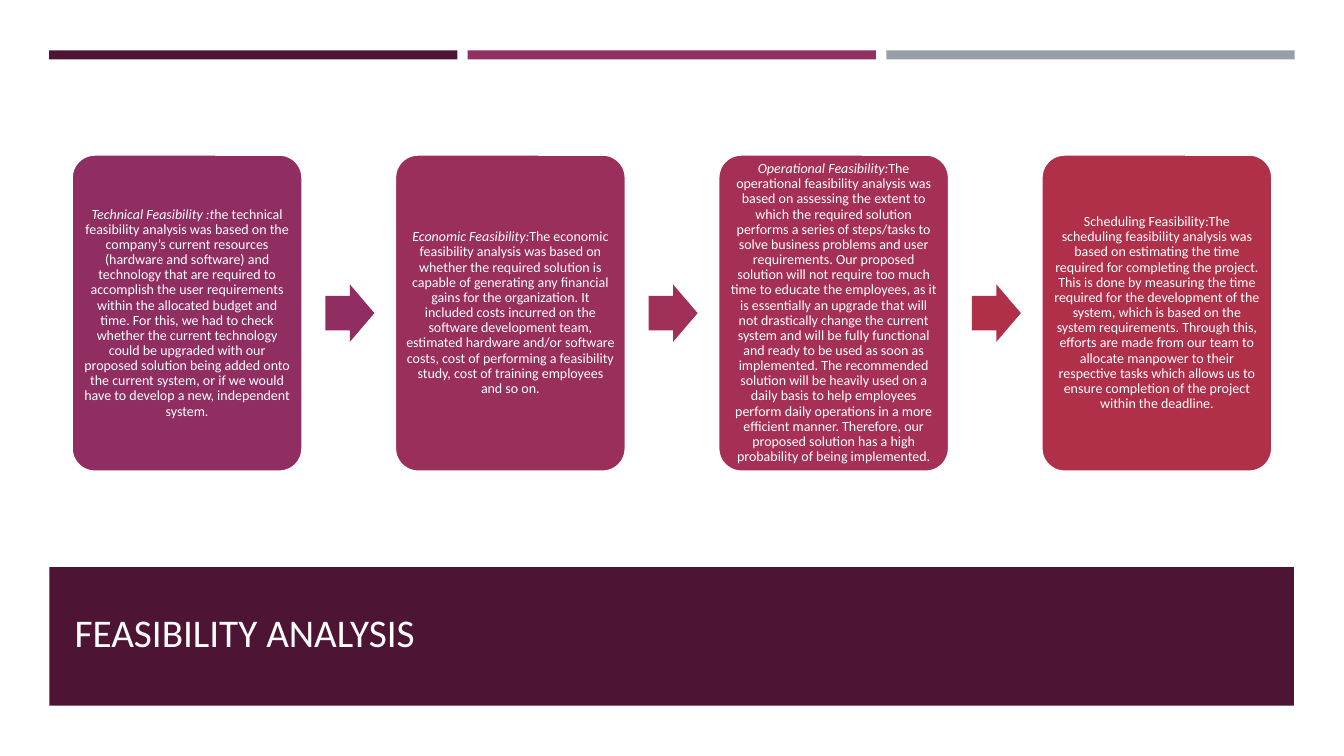
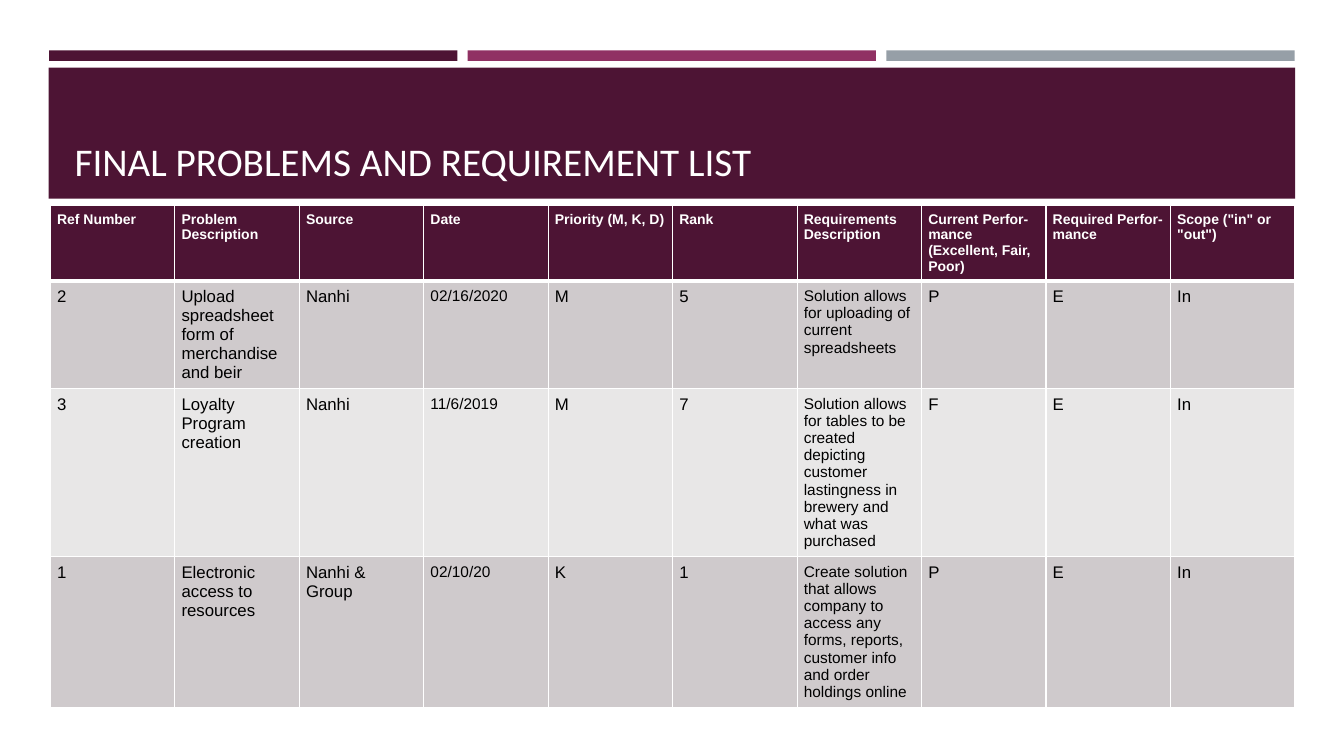
from lxml.etree import SubElement
from pptx import Presentation
from pptx.dml.color import RGBColor
from pptx.enum.shapes import MSO_SHAPE
from pptx.enum.text import MSO_ANCHOR, MSO_AUTO_SIZE, PP_ALIGN
from pptx.oxml.ns import qn
from pptx.util import Pt

# Shared colours
PLUM = RGBColor(0x4D, 0x14, 0x34)
BERRY = RGBColor(0x90, 0x31, 0x63)
STEEL = RGBColor(0x96, 0x9F, 0xA7)
WHITE = RGBColor(0xFF, 0xFF, 0xFF)
BLACK = RGBColor(0, 0, 0)
DARK = RGBColor(0xCF, 0xCA, 0xCC)
LIGHT = RGBColor(0xE8, 0xE7, 0xE7)

# Steps: italic lead, body, box colour, colour of the arrow that follows
STEPS = [
    ("Technical Feasibility :t",
     "he technical feasibility analysis was based on the company’s current "
     "resources (hardware and software) and technology that are required to "
     "accomplish the user requirements within the allocated budget and time. "
     "For this, we had to check whether the current technology could be "
     "upgraded with our proposed solution being added onto the current "
     "system, or if we would have to develop a new, independent system.",
     RGBColor(0x90, 0x2E, 0x62), RGBColor(0x90, 0x2E, 0x62)),
    ("Economic Feasibility:",
     "The economic feasibility analysis was based on whether the required "
     "solution is capable of generating any financial gains for the "
     "organization. It included costs incurred on the software development "
     "team, estimated hardware and/or software costs, cost of performing a "
     "feasibility study, cost of training employees and so on.",
     RGBColor(0x9A, 0x2F, 0x5C), RGBColor(0xA0, 0x30, 0x59)),
    ("Operational Feasibility:",
     "The operational feasibility analysis was based on assessing the extent "
     "to which the required solution performs a series of steps/tasks to "
     "solve business problems and user requirements. Our proposed solution "
     "will not require too much time to educate the employees, as it is "
     "essentially an upgrade that will not drastically change the current "
     "system and will be fully functional and ready to be used as soon as "
     "implemented. The recommended solution will be heavily used on a daily "
     "basis to help employees perform daily operations in a more efficient "
     "manner. Therefore, our proposed solution has a high probability of "
     "being implemented.",
     RGBColor(0xA6, 0x30, 0x55), RGBColor(0xB1, 0x30, 0x49)),
    ("",
     "Scheduling Feasibility:The scheduling feasibility analysis was based on "
     "estimating the time required for completing the project. This is done "
     "by measuring the time required for the development of the system, which "
     "is based on the system requirements. Through this, efforts are made "
     "from our team to allocate manpower to their respective tasks which "
     "allows us to ensure completion of the project within the deadline.",
     RGBColor(0xB1, 0x30, 0x49), None),
]

ROWS = [
    ("Ref Number", "Problem Description", "Source", "Date",
     "Priority (M, K, D)", "Rank", "Requirements Description",
     "Current Perfor-mance (Excellent, Fair, Poor)",
     "Required Perfor-mance", 'Scope ("in" or "out")'),
    ("2", "Upload spreadsheet form of merchandise and beir", "Nanhi",
     "02/16/2020", "M", "5",
     "Solution allows for uploading of current spreadsheets", "P", "E", "In"),
    ("3", "Loyalty Program creation", "Nanhi", "11/6/2019", "M", "7",
     "Solution allows for tables to be created depicting customer "
     "lastingness in brewery and what was purchased", "F", "E", "In"),
    ("1", "Electronic access to resources", "Nanhi & Group", "02/10/20",
     "K", "1",
     "Create solution that allows company to access any forms, reports, "
     "customer info and order holdings online", "P", "E", "In"),
]
HEIGHTS = (54, 77, 120, 108)
SMALL = (3, 6)  # columns set in 11 pt: date and requirements


def place(slide, kind, x, y, w, h, fill):
    shape = slide.shapes.add_shape(kind, Pt(x), Pt(y), Pt(w), Pt(h))
    shape.shadow.inherit = False
    shape.fill.solid()
    shape.fill.fore_color.rgb = fill
    shape.line.fill.background()
    return shape


def write(para, text, size, color, name="Calibri", bold=False, italic=False):
    run = para.add_run()
    run.text = text
    font = run.font
    font.size, font.name, font.bold, font.italic = Pt(size), name, bold, italic
    font.color.rgb = color


def inset(frame, side, top):
    frame.margin_left = frame.margin_right = Pt(side)
    frame.margin_top = frame.margin_bottom = Pt(top)


def start(deck, text, bar, band, area):
    """Add a slide with top bars, a title band and the title."""
    slide = deck.slides.add_slide(deck.slide_layouts[5])
    for i, fill in enumerate((PLUM, BERRY, STEEL)):
        place(slide, MSO_SHAPE.RECTANGLE, 35.1 + i * 299, 36, 291.6, bar, fill)
    place(slide, MSO_SHAPE.RECTANGLE, *band, PLUM)
    title = slide.shapes.title
    slide.shapes._spTree.append(title._element)  # bring title to the front
    title.left, title.top, title.width, title.height = map(Pt, area)
    frame = title.text_frame
    frame.auto_size = MSO_AUTO_SIZE.NONE
    frame.word_wrap = True
    frame.vertical_anchor = MSO_ANCHOR.BOTTOM
    inset(frame, 7.2, 3.6)
    para = frame.paragraphs[0]
    para.alignment = PP_ALIGN.LEFT
    write(para, text, 28, WHITE)
    return slide


def edge(cell, foot):
    """Draw white cell borders; foot is the width of the lower one."""
    props = cell._tc.get_or_add_tcPr()
    for tag, width in (("lnL", 1), ("lnR", 1), ("lnT", 1), ("lnB", foot)):
        line = SubElement(props, qn("a:" + tag), w=str(Pt(width)))
        fill = SubElement(line, qn("a:solidFill"))
        SubElement(fill, qn("a:srgbClr"), val=str(WHITE))


def steps(deck):
    slide = start(deck, "FEASIBILITY ANALYSIS", 6.5,
                  (35.3, 405, 889, 99), (46.1, 414.7, 868.3, 56.9))
    for i, (lead, body, fill, next_fill) in enumerate(STEPS):
        x = 51.2 + i * 230.9
        box = place(slide, MSO_SHAPE.ROUNDED_RECTANGLE,
                    x, 110.4, 164.9, 226.5, fill)
        box.adjustments[0] = 0.1
        box.line.color.rgb = WHITE
        box.line.width = Pt(1.75)
        frame = box.text_frame
        frame.word_wrap = True
        frame.vertical_anchor = MSO_ANCHOR.MIDDLE
        inset(frame, 3, 3)
        para = frame.paragraphs[0]
        para.alignment = PP_ALIGN.CENTER
        para.line_spacing = 0.9
        if lead:
            write(para, lead, 10, WHITE, italic=True)
        write(para, body, 10, WHITE)
        if next_fill:
            arrow = place(slide, MSO_SHAPE.RIGHT_ARROW,
                          x + 181.2, 203.2, 35, 41, next_fill)
            arrow.adjustments[0] = 0.6


def needs(deck):
    slide = start(deck, "FINAL PROBLEMS AND REQUIREMENT LIST", 7.5,
                  (34.8, 48.4, 890.3, 93.6), (46.1, 55.4, 868.3, 79.9))
    table = slide.shapes.add_table(len(ROWS), len(ROWS[0]), Pt(36), Pt(146.4),
                                   Pt(889), Pt(sum(HEIGHTS))).table
    table.horz_banding = False
    for col in table.columns:
        col.width = Pt(88.9)
    for r, row in enumerate(ROWS):
        table.rows[r].height = Pt(HEIGHTS[r])
        head = r == 0
        for c, text in enumerate(row):
            cell = table.cell(r, c)
            edge(cell, 3 if head else 1)
            cell.fill.solid()
            cell.fill.fore_color.rgb = PLUM if head else (LIGHT, DARK)[r % 2]
            inset(cell, 4.8, 4.8)
            size = 10 if head else 11 if c in SMALL else 12
            write(cell.text_frame.paragraphs[0], text, size,
                  WHITE if head else BLACK, "Arial", bold=head)


def main():
    deck = Presentation()
    deck.slide_width, deck.slide_height = Pt(960), Pt(540)
    steps(deck)
    needs(deck)
    deck.save("out.pptx")


if __name__ == "__main__":
    main()
